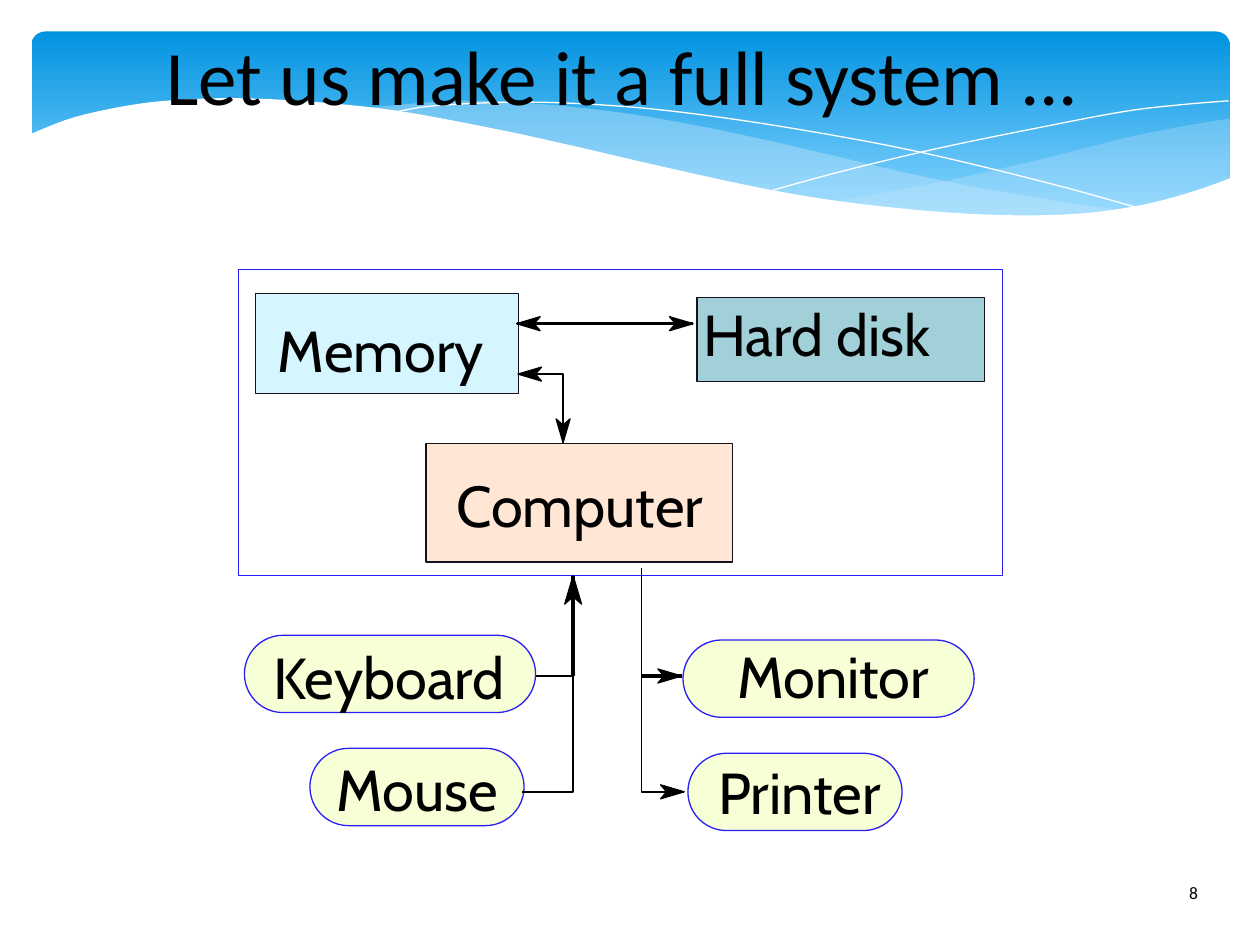
import dataclasses
import math

import pptx
import pptx.dml.color
import pptx.enum.shapes
import pptx.enum.text
import pptx.oxml.ns
import pptx.util
from lxml import etree

Pt = pptx.util.Pt
SHAPES = pptx.enum.shapes.MSO_SHAPE
ALIGN = pptx.enum.text.PP_ALIGN
ANCHOR = pptx.enum.text.MSO_ANCHOR
qn = pptx.oxml.ns.qn


@dataclasses.dataclass(frozen=True)
class Theme:
    sky_top: str = "0293E0"
    sky_bottom: str = "83D3FE"
    swell: str = "C6E7FC"
    white: str = "FFFFFF"
    ink: str = "000000"
    part_edge: str = "15111D"
    outline: str = "291EF5"
    memory: str = "D5F6FF"
    disk: str = "A2D0D9"
    computer: str = "FFE6D5"
    device: str = "F6FFD5"
    title_font: str = "Calibri"
    label_font: str = "Cabin"
    title_size: int = 44
    label_size: int = 33
    number_size: int = 10
    hairline: int = 0


THEME = Theme()


def rgb(color):
    return pptx.dml.color.RGBColor.from_string(color)


def paint(shape, fill=None, line=None, opacity=None):
    shape.shadow.inherit = False
    if fill:
        shape.fill.solid()
        shape.fill.fore_color.rgb = rgb(fill)
    else:
        shape.fill.background()
    if opacity is not None:
        color = shape._element.spPr.find(".//" + qn("a:srgbClr"))
        etree.SubElement(color, qn("a:alpha"), val=str(opacity * 1000))
    if line:
        shape.line.color.rgb = rgb(line)
        shape.line.width = Pt(THEME.hairline)
    else:
        shape.line.fill.background()


def add_box(page, kind, box, fill=None, line=None):
    shape = page.shapes.add_shape(kind, *map(Pt, box))
    paint(shape, fill, line)
    return shape


def add_outline(page, origin, points, closed=True, **colors):
    spots = [(Pt(origin[0] + x), Pt(origin[1] + y)) for x, y in points]
    builder = page.shapes.build_freeform(*spots[0], scale=1.0)
    builder.add_line_segments(spots[1:], close=closed)
    paint(builder.convert_to_shape(), **colors)


def add_text(page, box, text, font, size, inset=0, wrap=True,
             align=ALIGN.LEFT, anchor=ANCHOR.TOP):
    frame = page.shapes.add_textbox(*map(Pt, box)).text_frame
    frame.word_wrap = wrap
    frame.vertical_anchor = anchor
    frame.margin_left = frame.margin_right = Pt(inset)
    frame.margin_top = frame.margin_bottom = Pt(inset / 2)
    para = frame.paragraphs[0]
    para.alignment = align
    span = para.add_run()
    span.text = text
    span.font.name = font
    span.font.size = Pt(size)
    span.font.color.rgb = rgb(THEME.ink)


def smooth(knots, steps=5):
    """Return points on a Catmull-Rom curve through the knots."""
    ends = [knots[0], *knots, knots[-1]]
    points = [knots[0]]
    for a, b, c, d in zip(ends, ends[1:], ends[2:], ends[3:]):
        for step in range(1, steps + 1):
            t = step / steps
            points.append(tuple(
                q + t / 2 * (r - p + t * (2 * p - 5 * q + 4 * r - s
                                          + t * (3 * q - p - 3 * r + s)))
                for p, q, r, s in zip(a, b, c, d)))
    return points


def add_banner(page, box):
    left, top, width, height = box
    banner = add_box(page, SHAPES.ROUNDED_RECTANGLE, box)
    banner.adjustments[0] = 0.07
    banner.fill.gradient()
    banner.fill.gradient_angle = 270
    stops = zip(banner.fill.gradient_stops, (0, 0.9), (THEME.sky_top, THEME.sky_bottom))
    for stop, position, color in stops:
        stop.position = position
        stop.color.rgb = rgb(color)

    right_swell = smooth([(width, 49.7), (655, 54.7), (623.5, 61.2), (581, 72),
                          (524, 85), (458, 97.2)])
    right_swell += smooth([(458, 97.2), (499.7, 102.2), (544, 105.8), (590, 105),
                           (628, 100.8), (660, 93), (width, 83.5)])
    middle_swell = smooth([(188, 44), (228, 49.7), (305, 65.5), (363.6, 79.2), (427, 92.2),
                           (482.4, 100.8), (538.6, 105.8), (578, 106.6), (625, 102.2)])
    middle_swell += smooth([(625, 102.2), (584.6, 96.5), (515.5, 84.2), (435, 65.5),
                            (381.6, 54), (334, 46), (284.4, 41), (242, 39.6), (188, 44)])
    for swell, opacity in ((right_swell, 29), (middle_swell, 40)):
        add_outline(page, (left, top), swell, fill=THEME.swell, opacity=opacity)

    falling = [(204.5, 46.8), (229.7, 42.5), (281.5, 40.3), (334, 42.5), (382.3, 47.5),
               (440, 56.2), (505.4, 68.4), (580.3, 86.4), (635, 101.5)]
    rising = [(423.4, 90.7), (465.8, 79.2), (520.6, 66.2), (584, 53.3), (626.4, 45.4),
              (657.4, 41.8), (684, 39.6)]
    for crest in (falling, rising):
        add_outline(page, (left, top), smooth(crest), closed=False, line=THEME.white)

    shore = smooth([(-1.4, 59), (24.5, 49), (58.3, 41.8), (87, 38.9), (121, 38.2),
                    (162, 40.3), (209.5, 45.4), (263.5, 55.4), (303.8, 64.1), (363, 77.8),
                    (416, 89.3), (463, 97.2), (517.7, 103), (564.5, 105.1), (603.4, 103.7),
                    (637.2, 98.6), (666, 90.7), (width + 1, 83.5)])
    floor = height + 31
    add_outline(page, (left, top), shore + [(width + 1, floor), (-1.4, floor)],
                fill=THEME.white)


def add_head(page, origin, tail, tip, scale):
    angle = math.atan2(tip[1] - tail[1], tip[0] - tail[0])
    along, across = math.cos(angle), math.sin(angle)
    barbs = [(-10, 0), (-13.5, -4), (0, 0), (-13.5, 4)]
    points = [(tip[0] + scale * (x * along - y * across),
               tip[1] + scale * (x * across + y * along)) for x, y in barbs]
    add_outline(page, origin, points, fill=THEME.ink, line=THEME.ink)


def add_wire(page, origin, points, heads="", scale=1):
    """Draw a line or elbow; heads names its arrow ends: start, end or both."""
    if len(points) == 2:
        ends = [Pt(origin[i] + point[i]) for point in points for i in (0, 1)]
        wire = page.shapes.add_connector(pptx.enum.shapes.MSO_CONNECTOR.STRAIGHT, *ends)
        wire.line.color.rgb = rgb(THEME.ink)
        wire.line.width = Pt(THEME.hairline)
        etree.SubElement(wire._element.spPr, qn("a:effectLst"))
    else:
        add_outline(page, origin, points, closed=False, line=THEME.ink)
    if heads in ("start", "both"):
        add_head(page, origin, points[1], points[0], scale)
    if heads in ("end", "both"):
        add_head(page, origin, points[-2], points[-1], scale)


def add_node(page, kind, box, label, label_offset, fill, line, wrap=False):
    shape = add_box(page, kind, box, fill, line)
    if kind == SHAPES.ROUNDED_RECTANGLE:
        shape.adjustments[0] = 0.5
    dx, dy = label_offset
    add_text(page, (box[0] + dx, box[1] + dy, box[2] - dx, 44), label,
             THEME.label_font, THEME.label_size, wrap=wrap)


def add_system(page, box):
    """Draw the computer's frame, its parts inside and its devices below."""
    left, top, width, height = box
    parts = [("Hard disk", (261.7, 16, 164.2, 48.2), (3.6, 0.7), THEME.disk, True),
             ("Computer", (107, 99.6, 175, 67.7), (17.3, 15), THEME.computer, False),
             ("Memory", (9.3, 13.7, 150.5, 57), (13, 12.2), THEME.memory, False)]
    for label, (x, y, w, h), offset, fill, wrap in parts:
        add_node(page, SHAPES.RECTANGLE, (left + x, top + y, w, h), label, offset,
                 fill, THEME.part_edge, wrap)
    add_box(page, SHAPES.RECTANGLE, box, line=THEME.outline)

    devices = [("Keyboard", 3.2, 209, 166.4, (16.6, 3.6)),
               ("Mouse", 40.6, 273.6, 122.4, (15, 3)),
               ("Monitor", 253.8, 211.7, 166.4, (31, 0.7)),
               ("Printer", 256.6, 276.4, 122.4, (17.3, 2.2))]
    for label, x, y, w, offset in devices:
        add_node(page, SHAPES.ROUNDED_RECTANGLE, (left + x, top + y, w, 44.2), label,
                 offset, THEME.device, THEME.outline)

    input_x, output_x, upper_y, lower_y = 191, 230, 232.3, 298.5
    wires = [([(159.5, 59.8), (185.3, 59.8), (185.3, 98.9)], "both", 1),
             ([(158.7, 31), (259.6, 31)], "both", 1),
             ([(input_x, upper_y), (input_x, height)], "end", 1.2),
             ([(170, upper_y), (input_x, upper_y), (input_x, lower_y),
               (161.6, lower_y)], "", 1),
             ([(output_x, 170.7), (output_x, lower_y), (254.5, lower_y)], "end", 1),
             ([(output_x, upper_y), (253, upper_y)], "end", 1)]
    for points, heads, scale in wires:
        add_wire(page, (left, top), points, heads, scale)


def main():
    deck = pptx.Presentation()
    deck.slide_width, deck.slide_height = Pt(720), Pt(540)
    page = deck.slides.add_slide(deck.slide_layouts[6])
    add_banner(page, (18, 18, 684.7, 112.3))
    add_text(page, (64, 5.8, 584, 73.4), "Let us make it a full system ...",
             THEME.title_font, THEME.title_size, align=ALIGN.CENTER, anchor=ANCHOR.MIDDLE)
    add_system(page, (136.5, 154, 436.3, 175))
    add_text(page, (672.5, 500.4, 44, 28.8), "8", THEME.title_font, THEME.number_size,
             inset=7.2)
    deck.save("out.pptx")


if __name__ == "__main__":
    main()
